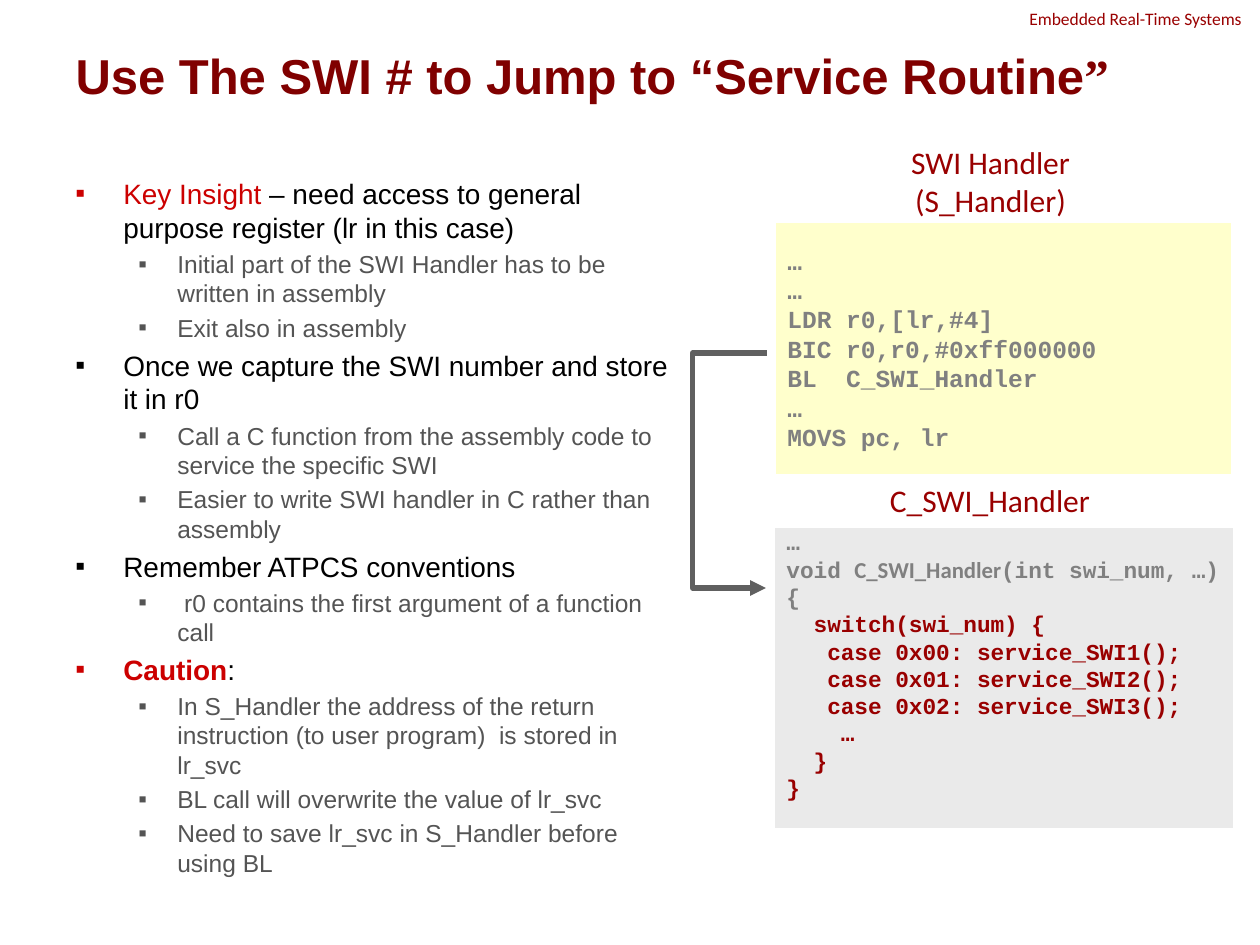
from lxml import etree
from pptx import Presentation
from pptx import util as u
from pptx.dml.color import RGBColor
from pptx.enum import shapes, text
from pptx.oxml.ns import qn

DARK_RED, RED, MAROON = "990000", "CC0000", "800000"
BLACK, DARK_GREY, CODE_GREY, WHITE = "000000", "545454", "808080", "FFFFFF"

BULLETS = [
    (0, [("Key Insight", RED, False),
         (" – need access to general purpose register (lr in this case)", BLACK, False)]),
    (1, "Initial part of the SWI Handler has to be written in assembly"),
    (1, "Exit also in assembly"),
    (0, "Once we capture the SWI number and store it in r0"),
    (1, "Call a C function from the assembly code to service the specific SWI"),
    (1, "Easier to write SWI handler in C rather than assembly"),
    (0, "Remember ATPCS conventions"),
    (1, " r0 contains the first argument of a function call"),
    (0, [("Caution", RED, True), (":", BLACK, False)]),
    (1, "In S_Handler the address of the return instruction (to user program)  is stored in lr_svc"),
    (1, "BL call will overwrite the value of lr_svc"),
    (1, "Need to save lr_svc in S_Handler before using BL"),
]
LEVELS = [
    {"size": 16, "color": BLACK, "margin": 48, "hang": 48, "leading": 19.4},
    {"size": 14, "color": DARK_GREY, "margin": 102, "hang": 39, "leading": 16.8},
]
ASSEMBLY = """…
…
LDR r0,[lr,#4]
BIC r0,r0,#0xff000000
BL  C_SWI_Handler
…
MOVS pc, lr"""
C_HEAD = """…
void C_SWI_Handler(int swi_num, …)
{"""
C_BODY = """  switch(swi_num) {
   case 0x00: service_SWI1();
   case 0x01: service_SWI2();
   case 0x02: service_SWI3();
    …
  }
}"""


def px(length):
    return u.Emu(round(length * 914400 / 126))


def rgb(value):
    return RGBColor.from_string(value)


def style(font, size, color, name="Arial", bold=False):
    font.size, font.name, font.bold = u.Pt(size), name, bold
    font.color.rgb = rgb(color)


class SlideBuilder:
    """Holds the deck style and the current page, with a method per element."""

    def __init__(self):
        self.deck = Presentation()
        self.deck.slide_width, self.deck.slide_height = px(1260), px(945)
        self.page = self.deck.slides.add_slide(self.deck.slide_layouts[5])

    def title(self, at, start, end):
        box = self.page.shapes.title
        box.left, box.top, box.width, box.height = map(px, at)
        frame = box.text_frame
        frame.text = start
        frame.vertical_anchor = text.MSO_ANCHOR.MIDDLE
        frame.auto_size = text.MSO_AUTO_SIZE.NONE
        para = frame.paragraphs[0]
        para.alignment = text.PP_ALIGN.LEFT
        style(para.runs[0].font, 28, MAROON, bold=True)
        span = para.add_run()
        span.text = end
        style(span.font, 28, MAROON, "Times New Roman", True)

    def label(self, at, words, size=18, align=text.PP_ALIGN.CENTER, wrap=True):
        frame = self.page.shapes.add_textbox(*map(px, at)).text_frame
        frame.text = words
        frame.word_wrap = wrap
        frame.vertical_anchor = text.MSO_ANCHOR.MIDDLE
        for para in frame.paragraphs:
            para.alignment = align
            style(para.runs[0].font, size, DARK_RED, "Calibri")

    def bullets(self, at, items):
        frame = self.page.shapes.add_textbox(*map(px, at)).text_frame
        frame.word_wrap = True
        for index, (level, content) in enumerate(items):
            look = LEVELS[level]
            para = frame.add_paragraph() if index else frame.paragraphs[0]
            para.level = level
            props = para._p.get_or_add_pPr()
            props.set("marL", str(px(look["margin"])))
            props.set("indent", str(-px(look["hang"])))
            etree.SubElement(props, qn("a:buFont")).set("typeface", "Arial")
            etree.SubElement(props, qn("a:buChar")).set("char", "▪")
            para.line_spacing = u.Pt(look["leading"])
            if index:
                para.space_before = u.Pt(look["size"] * 0.2)
            if isinstance(content, str):
                content = [(content, look["color"], False)]
            for words, color, bold in content:
                span = para.add_run()
                span.text = words
                style(span.font, look["size"], color, bold=bold)

    def code(self, at, fill, words, size, leading, red_from=None, bottom=6):
        box = self.page.shapes.add_shape(shapes.MSO_SHAPE.RECTANGLE, *map(px, at))
        box.shadow.inherit = False
        box.fill.solid()
        box.fill.fore_color.rgb = rgb(fill)
        box.line.color.rgb = rgb(WHITE)
        box.line.width = u.Pt(1)
        frame = box.text_frame
        frame.text = words
        frame.word_wrap = True
        frame.vertical_anchor = text.MSO_ANCHOR.MIDDLE
        frame.margin_bottom = px(bottom)
        for index, para in enumerate(frame.paragraphs):
            red = red_from is not None and index >= red_from
            para.alignment = text.PP_ALIGN.LEFT
            para.line_spacing = u.Pt(leading)
            for span in para.runs:
                style(span.font, size, DARK_RED if red else CODE_GREY, "Courier New", True)
        return frame

    def split_name(self, para, name, font_name):
        first = para.runs[0]
        size, color = first.font.size.pt, str(first.font.color.rgb)
        before, after = first.text.split(name)
        first.text = before
        for words, face in ((name, font_name), (after, first.font.name)):
            span = para.add_run()
            span.text = words
            style(span.font, size, color, face, True)

    def elbow_arrow(self, start, end, turn_x):
        line = self.page.shapes.add_connector(
            shapes.MSO_CONNECTOR.ELBOW, *map(px, start + end))
        line.line.color.rgb = rgb("606060")
        line.line.width = u.Pt(3)
        props = line._element.spPr
        guides = props.find(qn("a:prstGeom")).get_or_add_avLst()
        bend = round((start[0] - turn_x) / (start[0] - end[0]) * 100000)
        guide = etree.SubElement(guides, qn("a:gd"))
        guide.set("name", "adj1")
        guide.set("fmla", f"val {bend}")
        etree.SubElement(line.line._get_or_add_ln(), qn("a:tailEnd")).set("type", "triangle")
        etree.SubElement(props, qn("a:effectLst"))


def main():
    slide = SlideBuilder()
    slide.label((1017, 1, 237, 34), "Embedded Real-Time Systems", 10,
                text.PP_ALIGN.LEFT, wrap=False)
    slide.title((63, 38, 1134, 73), "Use The SWI # to Jump to “Service Routine", "”")
    slide.bullets((63, 170, 630, 674), BULLETS)
    slide.label((886, 136, 209, 90), "SWI Handler\n(S_Handler)")
    slide.code((775, 222, 457, 253), "FFFFCC", ASSEMBLY, 14, 16.8)
    handler = slide.code((774, 527, 460, 302), "EAEAEA", C_HEAD + "\n" + C_BODY,
                         13, 15.6, red_from=3, bottom=33)
    slide.split_name(handler.paragraphs[1], "C_SWI_Handler", "Calibri")
    slide.elbow_arrow((767, 353), (766, 588), 692)
    slide.label((861, 475, 258, 50), "C_SWI_Handler")
    slide.deck.save("out.pptx")


if __name__ == "__main__":
    main()
